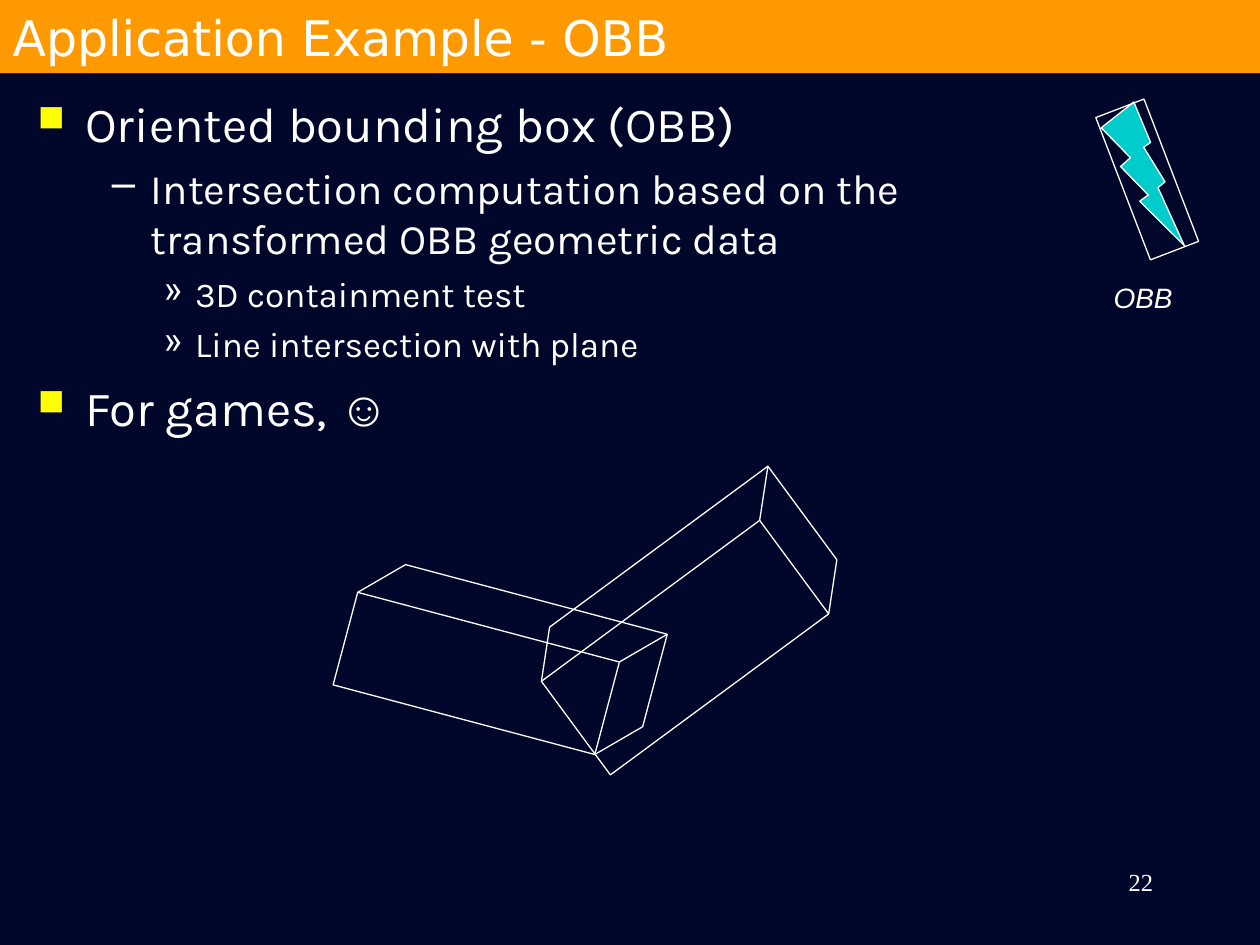
from lxml.etree import SubElement
from pptx import Presentation
from pptx.dml.color import RGBColor
from pptx.enum.shapes import MSO_SHAPE
from pptx.enum.text import MSO_ANCHOR, MSO_AUTO_SIZE, PP_ALIGN
from pptx.oxml.ns import qn
from pptx.util import Inches, Pt

COLUMNS, ROWS = 100, 75
WHITE, NAVY, ORANGE, TEAL, YELLOW = "FFFFFF", "00072A", "FF9900", "00CCCC", "FFFF00"

# Per level: text size, left margin and hanging indent (inches), space before, bullet
LEVELS = [
    dict(size=28, margin=0.38, hang=0.38, before=7, mark="■", color=YELLOW, percent=75),
    dict(size=24, margin=0.9, hang=0.31, before=6, mark="–", color=WHITE, percent=100),
    dict(size=20, margin=1.25, hang=0.25, before=5, mark="»", color=WHITE, percent=100),
]


def rgb(code):
    return RGBColor.from_string(code)


def add_text(para, text, size=28, font="Karla", color=WHITE, italic=False):
    span = para.add_run()
    span.text = text
    span.font.size = Pt(size)
    span.font.name = font
    span.font.italic = italic
    span.font.color.rgb = rgb(color)


def add_bullet(para, mark, color, percent):
    properties = para._p.get_or_add_pPr()
    tint = SubElement(properties, qn("a:buClr"))
    SubElement(tint, qn("a:srgbClr"), val=color)
    SubElement(properties, qn("a:buSzPct"), val=str(percent * 1000))
    SubElement(properties, qn("a:buChar"), char=mark)


class SlideBuilder:
    """Holds the style and the current slide; places are in grid columns and rows."""

    def __init__(self, deck):
        self.column = deck.slide_width / COLUMNS
        self.row = deck.slide_height / ROWS
        self.line_color, self.line_width = WHITE, Pt(0.75)
        self.page = deck.slides.add_slide(deck.slide_layouts[5])
        self.page.background.fill.solid()
        self.page.background.fill.fore_color.rgb = rgb(NAVY)

    def place(self, left, top, width, height):
        return (round(left * self.column), round(top * self.row),
                round(width * self.column), round(height * self.row))

    def title(self, text, area):
        box = self.page.shapes.title
        box.left, box.top, box.width, box.height = self.place(*area)
        box.fill.solid()
        box.fill.fore_color.rgb = rgb(ORANGE)
        frame = box.text_frame
        frame.auto_size = MSO_AUTO_SIZE.NONE
        frame.vertical_anchor = MSO_ANCHOR.MIDDLE
        para = frame.paragraphs[0]
        para.alignment = PP_ALIGN.LEFT
        add_text(para, text, font="DejaVu Sans")

    def label(self, text, area, align=PP_ALIGN.LEFT, wrap=True, **style):
        frame = self.page.shapes.add_textbox(*self.place(*area)).text_frame
        frame.word_wrap = wrap
        para = frame.paragraphs[0]
        para.alignment = align
        add_text(para, text, **style)

    def outline(self, items, area):
        frame = self.page.shapes.add_textbox(*self.place(*area)).text_frame
        frame.word_wrap = True
        for index, (level, spans) in enumerate(items):
            look = LEVELS[level]
            para = frame.paragraphs[0] if index == 0 else frame.add_paragraph()
            para.level = level
            properties = para._p.get_or_add_pPr()
            properties.set("marL", str(Inches(look["margin"])))
            properties.set("indent", str(-Inches(look["hang"])))
            add_bullet(para, look["mark"], look["color"], look["percent"])
            if index:
                para.space_before = Pt(look["before"])
            for text, font in spans:
                add_text(para, text, size=look["size"], font=font)

    def shape(self, kind, area, fill=None, turn=0, depth=None):
        shape = self.page.shapes.add_shape(kind, *self.place(*area))
        shape.shadow.inherit = False
        shape.rotation = turn
        if depth is not None:
            shape.adjustments[0] = depth
        if fill:
            shape.fill.solid()
            shape.fill.fore_color.rgb = rgb(fill)
        else:
            shape.fill.background()
        shape.line.color.rgb = rgb(self.line_color)
        shape.line.width = self.line_width


def main():
    deck = Presentation()
    deck.slide_width, deck.slide_height = Inches(10), Inches(7.5)
    slide = SlideBuilder(deck)

    # Title band
    slide.title("Application Example - OBB", (0, 0, COLUMNS, 5.8))

    # Bulleted text
    slide.outline([
        (0, [("Oriented bounding box (OBB)", "Karla")]),
        (1, [("Intersection computation based on the transformed OBB geometric data", "Karla")]),
        (2, [("3D containment test", "Karla")]),
        (2, [("Line intersection with plane", "Karla")]),
        (0, [("For games, ", "Karla"), ("☺", "Arial")]),
    ], (2, 6.9, 85, 34.2))

    # Bolt inside its oriented box
    slide.shape(MSO_SHAPE.LIGHTNING_BOLT, (87.4, 8.1, 6.6, 11.4), fill=TEAL)
    slide.shape(MSO_SHAPE.RECTANGLE, (89, 8.2, 4.1, 12.1), turn=339)
    slide.label("OBB", (87.4, 21.8, 6.7, 3.7), wrap=False,
                size=16, font="Arial", italic=True)

    # Two intersecting boxes
    slide.shape(MSO_SHAPE.CUBE, (42.4, 43.1, 24.6, 12.3), turn=323.6, depth=0.25)
    slide.shape(MSO_SHAPE.CUBE, (27.4, 47, 24.6, 10.7), turn=14.9, depth=0.29)

    # Page number
    slide.label("22", (71.7, 68.3, 20.8, 5), align=PP_ALIGN.RIGHT,
                size=14, font="Times New Roman")

    deck.save("out.pptx")


if __name__ == "__main__":
    main()
